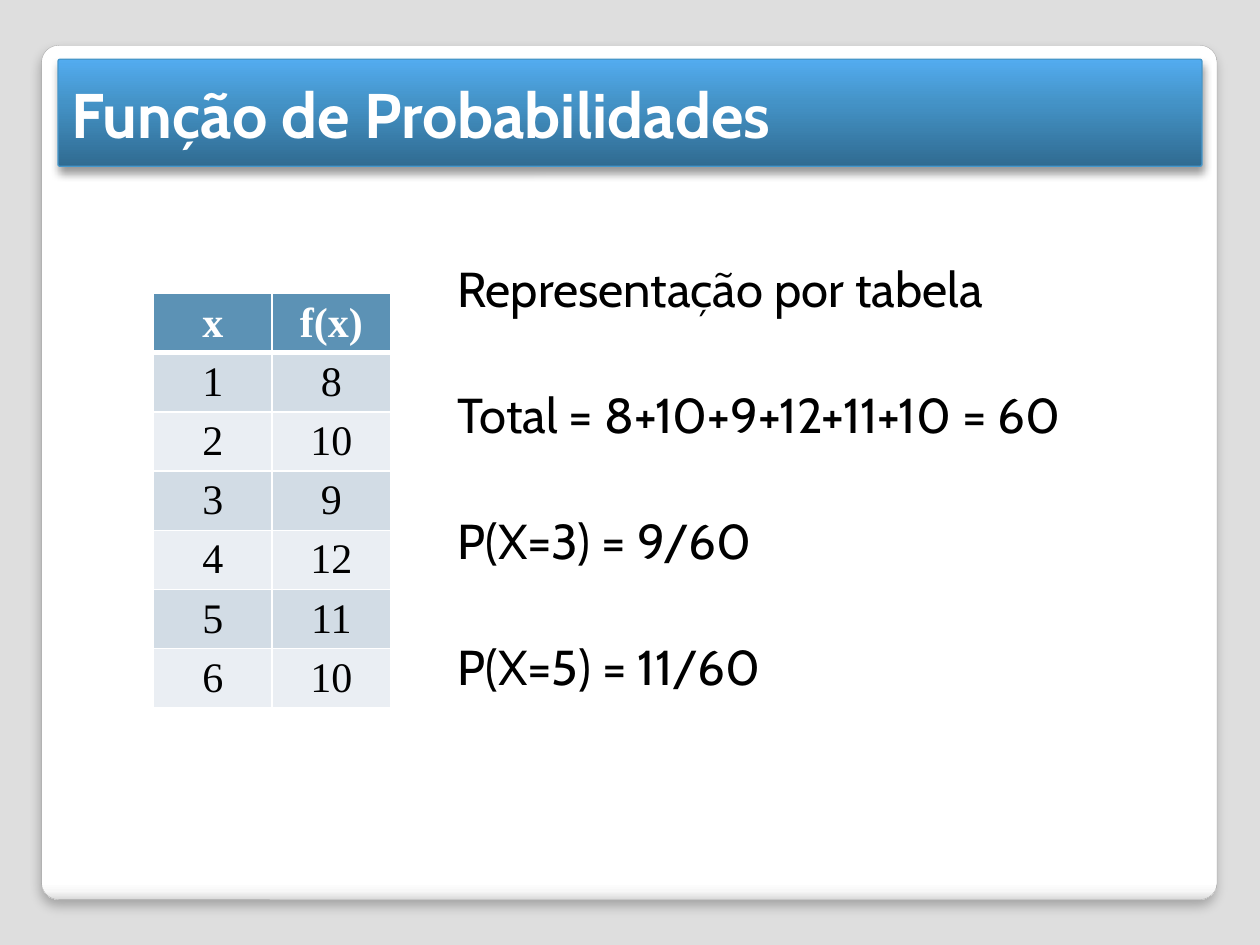
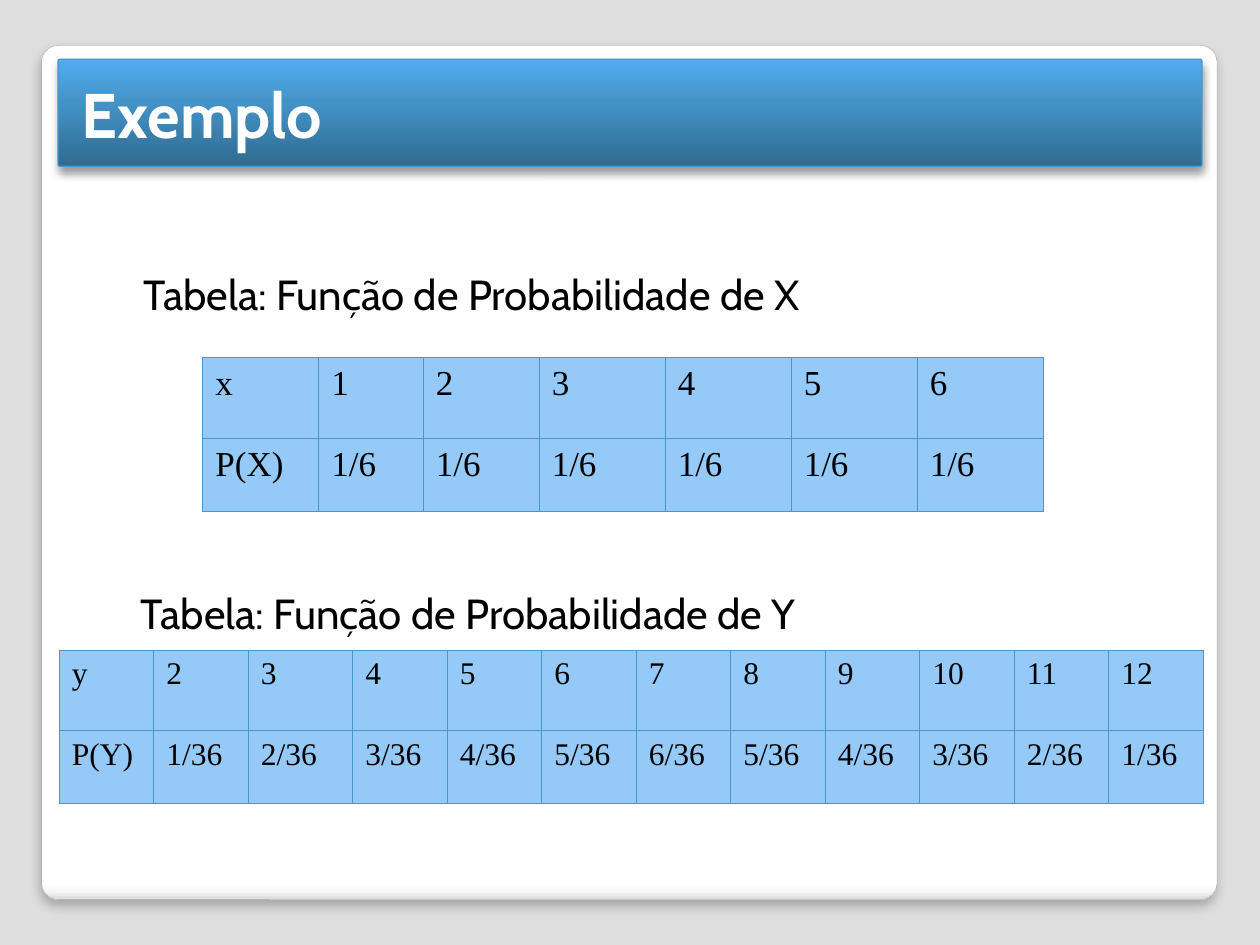
from lxml import etree
from pptx import Presentation
from pptx.dml.color import RGBColor
from pptx.enum.shapes import MSO_SHAPE
from pptx.enum.text import MSO_ANCHOR, MSO_AUTO_SIZE, PP_ALIGN
from pptx.oxml.ns import qn
from pptx.util import Inches, Pt

ROUNDED = MSO_SHAPE.ROUNDED_RECTANGLE
TOP, MIDDLE = MSO_ANCHOR.TOP, MSO_ANCHOR.MIDDLE
LEFT, CENTER = PP_ALIGN.LEFT, PP_ALIGN.CENTER
FIXED, GROW = MSO_AUTO_SIZE.NONE, MSO_AUTO_SIZE.SHAPE_TO_FIT_TEXT
TITLE_AND_BODY, TITLE_ONLY = 1, 5
SANS, SERIF = "Cabin", "Times New Roman"
COLORS = {
    "backdrop": "DEDEDE", "panel_line": "A4A4A4", "band_line": "4697CB",
    "white": "FFFFFF", "black": "000000", "header": "5C92B5",
    "odd_row": "D2DCE5", "even_row": "EAEEF3", "light_blue": "94C9F8",
}
PANEL_STOPS = [(0, "FFFFFF"), (98, "FFFFFF"), (99, "F7F7F7"), (100, "DADADA")]
BAND_STOPS = [(0, "306B91"), (60, "4493C7"), (100, "53ACF0")]


def rgb(color):
    return RGBColor.from_string(COLORS[color])


def add_xml(parent, tag, **attributes):
    return etree.SubElement(parent, qn(tag), {k: str(v) for k, v in attributes.items()})


def apply(target, **values):
    for attribute, value in values.items():
        setattr(target, attribute, value)


class Deck:
    def __init__(self):
        self.prs = Presentation()
        apply(self.prs, slide_width=Inches(10), slide_height=Inches(7.5))
        self.master = self.prs.slide_master
        backdrop = self.master.background.fill
        backdrop.solid()
        backdrop.fore_color.rgb = rgb("backdrop")
        self.slide = None

    def new_slide(self, layout):
        self.slide = self.prs.slides.add_slide(self.prs.slide_layouts[layout])

    def place(self, shape, box):
        apply(shape, **dict(zip(("left", "top", "width", "height"), map(Inches, box))))

    def add_text(self, paragraph, text, size, font=SANS, color="black", bold=False, align=LEFT):
        paragraph.alignment = align
        run = paragraph.add_run()
        run.text = text
        apply(run.font, name=font, size=Pt(size), bold=bold)
        run.font.color.rgb = rgb(color)

    def master_card(self, order, box, stops, angle, line, width, opacity, blur, distance):
        card = self.slide.shapes.add_shape(ROUNDED, *map(Inches, box))
        card.adjustments[0] = 0.02
        card.fill.gradient()
        card.fill.gradient_angle = angle
        stop_list = card.element.spPr.find(qn("a:gradFill")).find(qn("a:gsLst"))
        stop_list.clear()
        for position, color in stops:
            stop = add_xml(stop_list, "a:gs", pos=position * 1000)
            add_xml(stop, "a:srgbClr", val=color)
        card.line.color.rgb = rgb(line)
        card.line.width = Pt(width)
        card.shadow.inherit = False
        effects = card.element.spPr.find(qn("a:effectLst"))
        shadow = add_xml(effects, "a:outerShdw", blurRad=Pt(blur), dist=Pt(distance),
                         dir=90 * 60000, rotWithShape=0)
        tint = add_xml(shadow, "a:srgbClr", val=COLORS["black"])
        add_xml(tint, "a:alpha", val=opacity * 1000)
        self.master.shapes.element.insert(2 + order, card.element)

    def title(self, text, box):
        heading = self.slide.shapes.title
        self.place(heading, box)
        apply(heading.text_frame, vertical_anchor=MIDDLE, auto_size=FIXED, word_wrap=True)
        self.add_text(heading.text_frame.paragraphs[0], text, 36, color="white", bold=True)

    def body(self, lines, box):
        statements = self.slide.placeholders[1]
        self.place(statements, box)
        frame = statements.text_frame
        apply(frame, vertical_anchor=TOP, auto_size=FIXED, word_wrap=True,
              margin_left=Inches(0.2), margin_top=Inches(0.64),
              margin_right=Inches(0.1), margin_bottom=Inches(0.05))
        for index, line in enumerate(lines):
            paragraph = frame.add_paragraph() if index else frame.paragraphs[0]
            self.add_text(paragraph, line, 28)
            paragraph.space_before = Pt(38.5 if index else 0)
            properties = paragraph._p.get_or_add_pPr()
            properties.set("marL", str(Inches(0.29)))
            properties.set("indent", str(-Inches(0.29)))
            add_xml(properties, "a:buNone")

    def caption(self, text, box):
        label = self.slide.shapes.add_textbox(*map(Inches, box))
        apply(label.text_frame, word_wrap=False, auto_size=GROW)
        self.add_text(label.text_frame.paragraphs[0], text, 24)

    def borders(self, cell, color, widths):
        properties = cell._tc.get_or_add_tcPr()
        for side, width in zip("LRTB", widths):
            line = add_xml(properties, f"a:ln{side}", w=Pt(width))
            add_xml(add_xml(line, "a:solidFill"), "a:srgbClr", val=COLORS[color])

    def table(self, rows, origin, widths, heights, style):
        frame = self.slide.shapes.add_table(
            len(rows), len(widths), *map(Inches, (*origin, sum(widths), sum(heights))))
        grid = frame.table
        for column, width in zip(grid.columns, widths):
            column.width = Inches(width)
        for row, height in zip(grid.rows, heights):
            row.height = Inches(height)
        for r, values in enumerate(rows):
            fill, border, edges, text_format = style(r)
            for c, value in enumerate(values):
                cell = grid.cell(r, c)
                self.borders(cell, border, edges)
                cell.fill.solid()
                cell.fill.fore_color.rgb = rgb(fill)
                self.add_text(cell.text_frame.paragraphs[0], str(value), font=SERIF, **text_format)


def banded(row):
    if row == 0:
        return "header", "white", (1, 1, 1, 3), dict(
            size=24, color="white", bold=True, align=CENTER)
    fill = "odd_row" if row % 2 else "even_row"
    return fill, "white", (1, 1, 3 if row == 1 else 1, 1), dict(size=24, align=CENTER)


def plain(size):
    return lambda row: ("light_blue", "band_line", (0.75,) * 4, dict(size=size))


deck = Deck()
deck.new_slide(TITLE_AND_BODY)
deck.master_card(0, (0.33, 0.36, 9.33, 6.78), PANEL_STOPS, 270, "panel_line", 0.16, 25, 6, 4)
deck.master_card(1, (0.46, 0.47, 9.08, 0.85), BAND_STOPS, 90, "band_line", 0.75, 40, 5.2, 3)

deck.title("Função de Probabilidades", (0.47, 0.47, 9.06, 0.86))
deck.body(["Representação por tabela", "Total = 8+10+9+12+11+10 = 60",
           "P(X=3) = 9/60", "P(X=5) = 11/60"], (3.43, 1.41, 6.07, 5.47))
frequencies = [8, 10, 9, 12, 11, 10]
deck.table([("x", "f(x)"), *enumerate(frequencies, 1)],
           (1.22, 2.33), [0.94] * 2, [0.47] * 7, banded)

deck.new_slide(TITLE_ONLY)
deck.title("Exemplo", (0.55, 0.47, 8.95, 0.86))
row_heights = [0.64, 0.58]
deck.table([["x", *range(1, 7)], ["P(X)"] + ["1/6"] * 6],
           (1.61, 2.84), [0.92, 0.83, 0.92] + [1] * 4, row_heights, plain(20))
deck.caption("Tabela: Função de Probabilidade de X", (1.04, 2.08, 5.88, 0.51))
sums = range(2, 13)
deck.table([["y", *sums], ["P(Y)"] + [f"{6 - abs(y - 7)}/36" for y in sums]],
           (0.47, 5.16), [0.75, 0.75, 0.83] + [0.75] * 9, row_heights, plain(18))
deck.caption("Tabela: Função de Probabilidade de Y", (1.02, 4.61, 5.88, 0.51))

deck.prs.save("out.pptx")
